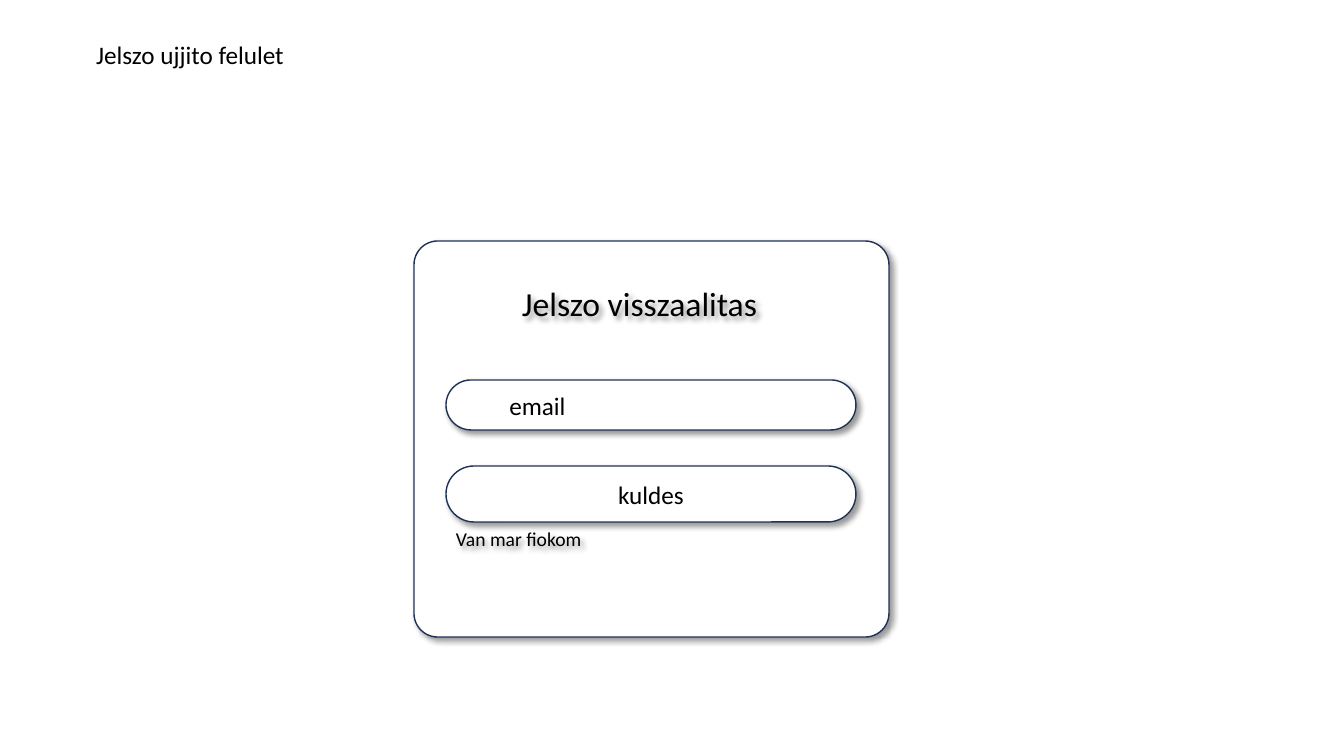
import pptx
import pptx.dml.color
import pptx.enum.shapes
import pptx.enum.text
import pptx.oxml
import pptx.oxml.ns
import pptx.util

PX = 914400 / 100.8
SLIDE_SIZE = (1344, 756)
BLACK = pptx.dml.color.RGBColor(0, 0, 0)
WHITE = pptx.dml.color.RGBColor(255, 255, 255)
NAVY = pptx.dml.color.RGBColor(0x1E, 0x32, 0x56)
FONT = "Calibri"
LEFT = pptx.enum.text.PP_ALIGN.LEFT
CENTER = pptx.enum.text.PP_ALIGN.CENTER
TOP = pptx.enum.text.MSO_ANCHOR.TOP
MIDDLE = pptx.enum.text.MSO_ANCHOR.MIDDLE

TITLE = ("Jelszo ujjito felulet", (86, 34, 211, 40), 18)
CARD = (414, 241, 475, 396)
HEADING = ("Jelszo visszaalitas", (512, 278, 258, 50), 24)
# text, box, alignment, left margin
FIELDS = [
    ("email", (446, 380, 410, 50), LEFT, 56),
    ("kuldes", (446, 466, 410, 56), CENTER, 10),
]
LINK = ("Van mar fiokom", (446, 522, 254, 34), 14)


def emu(box):
    return [pptx.util.Emu(round(length * PX)) for length in box]


def add_shadow(shape):
    shape.shadow.inherit = False
    effects = shape._element.spPr.find(pptx.oxml.ns.qn("a:effectLst"))
    effects.append(pptx.oxml.parse_xml(
        f'<a:outerShdw {pptx.oxml.ns.nsdecls("a")} blurRad="50800" dist="38100" '
        'dir="2700000" algn="tl" rotWithShape="0"><a:srgbClr val="000000">'
        '<a:alpha val="40000"/></a:srgbClr></a:outerShdw>'))


def write(shape, text, size, wrap, anchor=TOP, alignment=LEFT):
    frame = shape.text_frame
    frame.text = text
    frame.word_wrap = wrap
    frame.auto_size = pptx.enum.text.MSO_AUTO_SIZE.NONE
    frame.vertical_anchor = anchor
    paragraph = frame.paragraphs[0]
    paragraph.alignment = alignment
    paragraph.font.name = FONT
    paragraph.font.size = pptx.util.Pt(size)
    paragraph.font.color.rgb = BLACK


def add_rounded_box(slide, box, corner):
    shape = slide.shapes.add_shape(
        pptx.enum.shapes.MSO_SHAPE.ROUNDED_RECTANGLE, *emu(box))
    shape.adjustments[0] = corner
    shape.fill.solid()
    shape.fill.fore_color.rgb = WHITE
    shape.line.color.rgb = NAVY
    shape.line.width = pptx.util.Pt(1)
    add_shadow(shape)
    return shape


def add_label(slide, label, wrap):
    text, box, size = label
    shape = slide.shapes.add_textbox(*emu(box))
    write(shape, text, size, wrap)
    add_shadow(shape)


def main():
    presentation = pptx.Presentation()
    presentation.slide_width, presentation.slide_height = emu(SLIDE_SIZE)
    slide = presentation.slides.add_slide(presentation.slide_layouts[5])

    text, box, size = TITLE
    title = slide.shapes.title
    title.left, title.top, title.width, title.height = emu(box)
    write(title, text, size, wrap=False)

    add_rounded_box(slide, CARD, 0.06)
    add_label(slide, HEADING, wrap=False)
    for text, box, alignment, margin in FIELDS:
        field = add_rounded_box(slide, box, 0.5)
        write(field, text, 18, True, MIDDLE, alignment)
        field.text_frame.margin_left = emu([margin])[0]
    add_label(slide, LINK, wrap=True)

    presentation.save("out.pptx")


if __name__ == "__main__":
    main()
